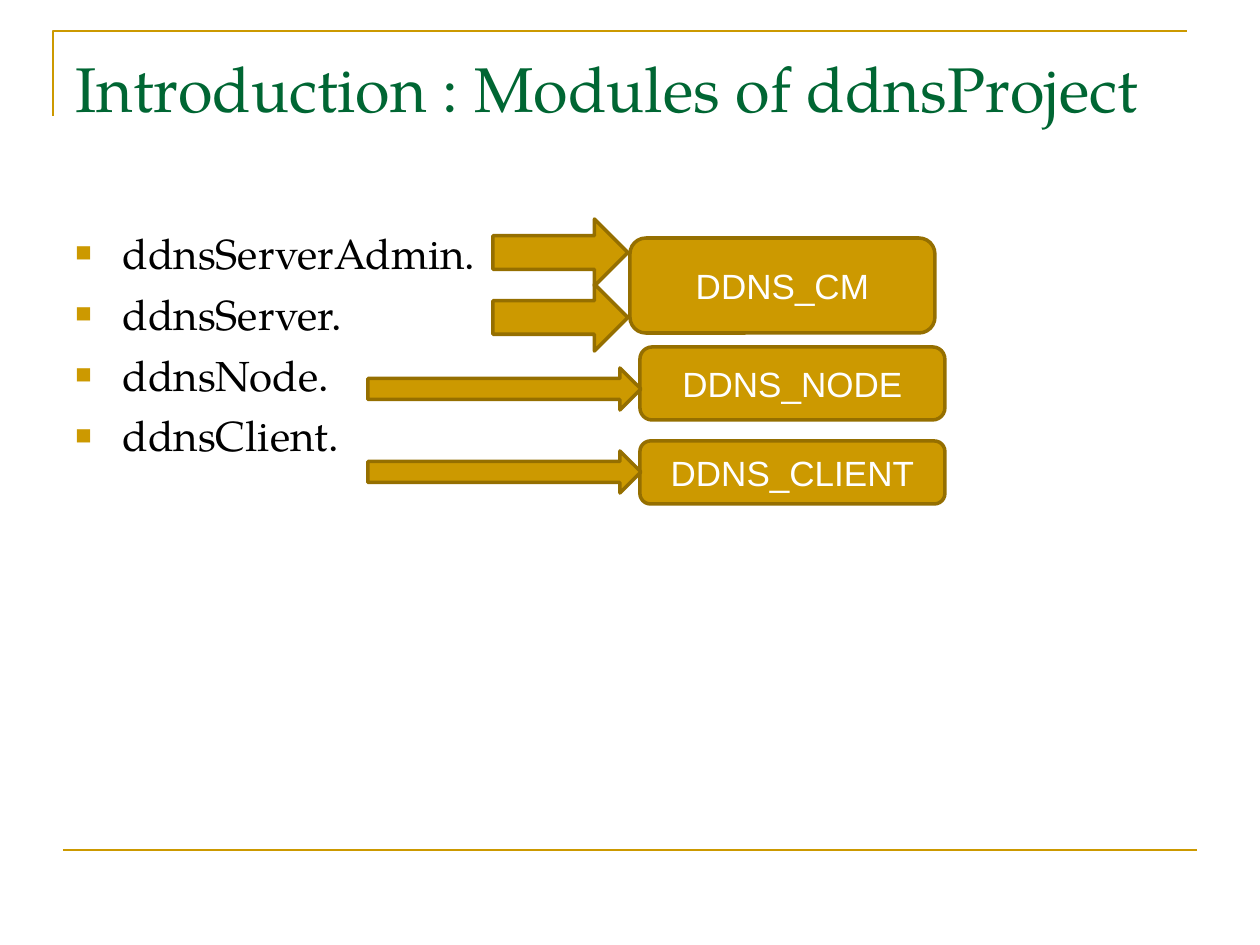
from lxml import etree
from pptx import Presentation
from pptx.dml.color import RGBColor
from pptx.enum.shapes import MSO_CONNECTOR, MSO_SHAPE
from pptx.enum.text import MSO_ANCHOR, PP_ALIGN
from pptx.oxml.ns import qn
from pptx.util import Pt

PX = 914400 // 126
GOLD = RGBColor(0xCC, 0x99, 0x00)
BRONZE = RGBColor(0x95, 0x6F, 0x00)
GREEN = RGBColor(0x00, 0x66, 0x33)
BLACK = RGBColor(0, 0, 0)
WHITE = RGBColor(255, 255, 255)
ARROW = MSO_SHAPE.RIGHT_ARROW
BOX = MSO_SHAPE.FLOWCHART_ALTERNATE_PROCESS
SERIF, SANS = "TeX Gyre Pagella", "Arial"

TITLE = "Introduction : Modules of ddnsProject"
MODULES = ["ddnsServerAdmin.", "ddnsServer.", "ddnsNode.", "ddnsClient."]
SHORT_ARROWS = [(493, 219, 135, 67), (493, 284, 135, 67)]
PROCESSES = [
    ("DDNS_CM", (630, 238, 305, 95)),
    ("DDNS_NODE", (640, 347, 305, 73)),
    ("DDNS_CLIENT", (640, 441, 305, 63)),
]
LONG_ARROWS = [(368, 368, 273, 42), (368, 451, 273, 42)]


def emu(*lengths):
    return [length * PX for length in lengths]


def add_run(paragraph, text, size, font, color):
    run = paragraph.add_run()
    run.text = text
    run.font.size = Pt(size)
    run.font.name = font
    run.font.color.rgb = color


def add_text_frame(slide, box, anchor):
    frame = slide.shapes.add_textbox(*emu(*box)).text_frame
    frame.word_wrap = True
    frame.vertical_anchor = anchor
    return frame


def add_bullet(paragraph):
    properties = paragraph._p.get_or_add_pPr()
    properties.set("marL", str(47 * PX))
    properties.set("indent", str(-47 * PX))
    color = etree.SubElement(properties, qn("a:buClr"))
    etree.SubElement(color, qn("a:srgbClr"), val=str(GOLD))
    etree.SubElement(properties, qn("a:buSzPct"), val="65000")
    etree.SubElement(properties, qn("a:buFont"), typeface=SANS)
    etree.SubElement(properties, qn("a:buChar"), char="■")


def add_gold_shape(slide, kind, box):
    shape = slide.shapes.add_shape(kind, *emu(*box))
    shape.shadow.inherit = False
    shape.fill.solid()
    shape.fill.fore_color.rgb = GOLD
    shape.line.color.rgb = BRONZE
    shape.line.width = Pt(2)
    return shape


def add_frame_lines(slide):
    builder = slide.shapes.build_freeform(53, 116, scale=PX)
    builder.add_line_segments([(53, 31), (1187, 31)], close=False)
    corner = builder.convert_to_shape()
    corner.shadow.inherit = False
    corner.fill.background()
    footer = slide.shapes.add_connector(MSO_CONNECTOR.STRAIGHT, *emu(63, 850, 1197, 850))
    etree.SubElement(footer._element.spPr, qn("a:effectLst"))
    for rule in (corner, footer):
        rule.line.color.rgb = GOLD
        rule.line.width = Pt(1.5)


def main():
    deck = Presentation()
    deck.slide_width, deck.slide_height = emu(1260, 945)
    slide = deck.slides.add_slide(deck.slide_layouts[6])
    add_frame_lines(slide)

    heading = add_text_frame(slide, (63, 38, 1134, 98), MSO_ANCHOR.MIDDLE)
    add_run(heading.paragraphs[0], TITLE, 36, SERIF, GREEN)

    listing = add_text_frame(slide, (63, 221, 1134, 451), MSO_ANCHOR.TOP)
    for index, module in enumerate(MODULES):
        paragraph = listing.add_paragraph() if index else listing.paragraphs[0]
        add_bullet(paragraph)
        if index:
            paragraph.space_before = Pt(6)
        add_run(paragraph, module, 24, SERIF, BLACK)

    for box in SHORT_ARROWS:
        add_gold_shape(slide, ARROW, box)
    for label, box in PROCESSES:
        frame = add_gold_shape(slide, BOX, box).text_frame
        frame.vertical_anchor = MSO_ANCHOR.MIDDLE
        frame.paragraphs[0].alignment = PP_ALIGN.CENTER
        add_run(frame.paragraphs[0], label, 20, SANS, WHITE)
    for box in LONG_ARROWS:
        add_gold_shape(slide, ARROW, box)

    deck.save("out.pptx")


if __name__ == "__main__":
    main()
